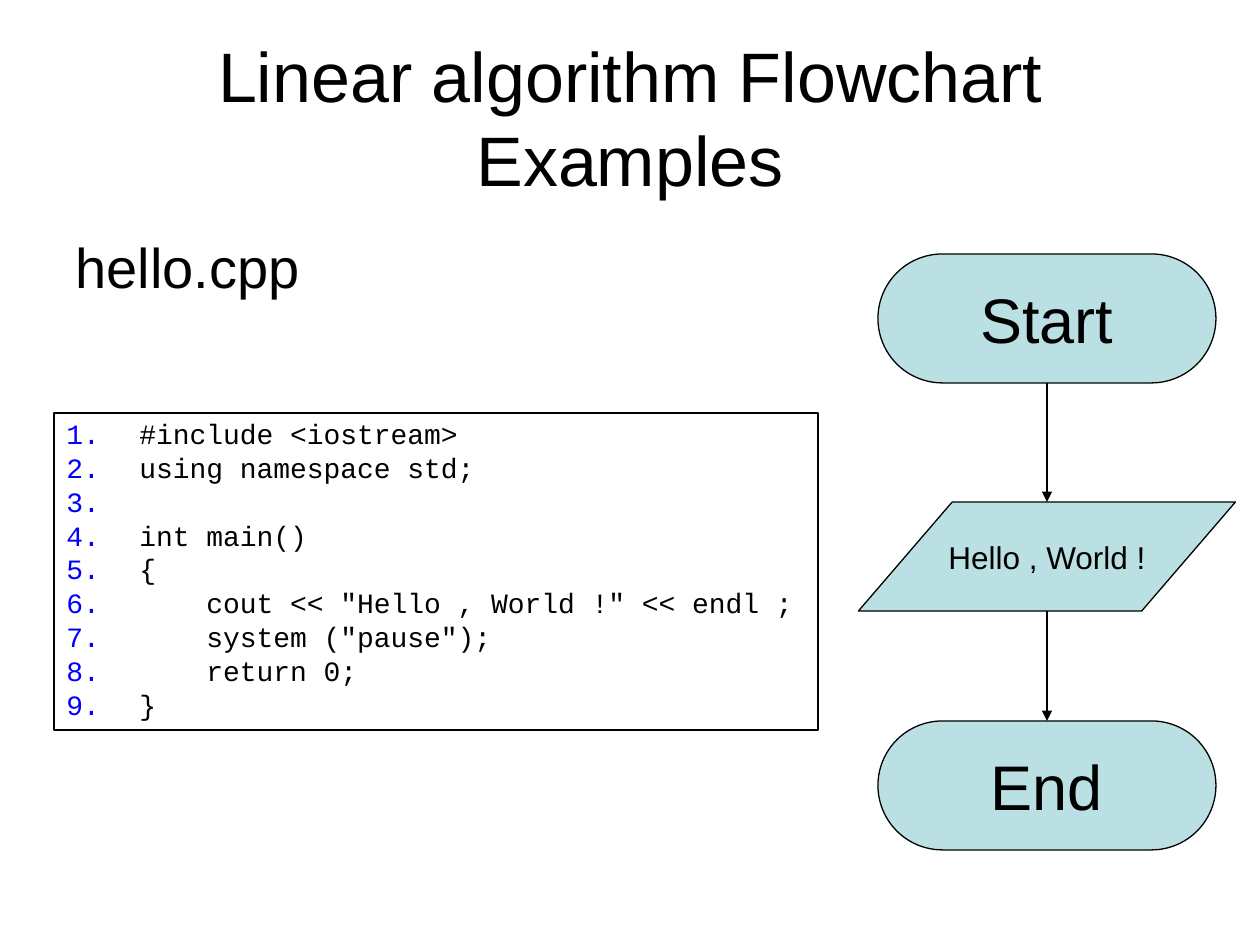
from dataclasses import dataclass

from lxml.etree import SubElement
from pptx import Presentation
from pptx.dml.color import RGBColor as RGB
from pptx.enum.shapes import MSO_CONNECTOR as Conn, MSO_SHAPE as Form
from pptx.enum.text import MSO_ANCHOR as Anchor, PP_ALIGN as Align
from pptx.oxml.ns import qn
from pptx.util import Pt

SCALE = 914400 / 126


def px(num):
    return round(num * SCALE)


@dataclass(frozen=True)
class Theme:
    ink: RGB = RGB(0, 0, 0)
    fill: RGB = RGB(0xBB, 0xE0, 0xE3)
    mark: str = "0000FF"
    sans: str = "Arial"
    mono: str = "Courier New"
    title: int = 40
    head: int = 32
    node: int = 36
    note: int = 18
    code: int = 16
    line: float = 0.75


class Deck:
    def __init__(self, theme):
        self.theme = theme
        self.prs = Presentation()
        self.prs.slide_width, self.prs.slide_height = px(1260), px(945)
        self.slide = self.prs.slides.add_slide(self.prs.slide_layouts[5])

    def run(self, para, text, size, face=None):
        run = para.add_run()
        run.text = text
        font = run.font
        font.size, font.name = Pt(size), face or self.theme.sans
        font.color.rgb = self.theme.ink

    def edge(self, item):
        item.line.color.rgb = self.theme.ink
        item.line.width = Pt(self.theme.line)

    def title(self, text, x, y, w, h):
        box = self.slide.shapes.title
        box.left, box.top, box.width, box.height = map(px, (x, y, w, h))
        frame = box.text_frame
        frame.word_wrap, frame.vertical_anchor = True, Anchor.MIDDLE
        para = frame.paragraphs[0]
        para.alignment = Align.CENTER
        self.run(para, text, self.theme.title)

    def label(self, text, x, y, w, h):
        box = self.slide.shapes.add_textbox(*map(px, (x, y, w, h)))
        box.text_frame.word_wrap = True
        self.run(box.text_frame.paragraphs[0], text, self.theme.head)

    def code(self, lines, x, y, w, h):
        box = self.slide.shapes.add_textbox(*map(px, (x, y, w, h)))
        self.edge(box)
        frame = box.text_frame
        frame.word_wrap, frame.margin_top = True, px(10)
        for i, line in enumerate(lines):
            para = frame.add_paragraph() if i else frame.paragraphs[0]
            para.line_spacing = 0.8
            if i:
                para.space_before = Pt(4)
            self.number(para)
            self.run(para, line, self.theme.code, self.theme.mono)

    def number(self, para):
        props = para._p.get_or_add_pPr()
        props.set("marL", str(px(73)))
        props.set("indent", str(px(-73)))
        color = SubElement(props, qn("a:buClr"))
        SubElement(color, qn("a:srgbClr"), val=self.theme.mark)
        SubElement(props, qn("a:buFont"), typeface=self.theme.mono)
        SubElement(props, qn("a:buAutoNum"), type="arabicPeriod")

    def node(self, form, bend, text, size, mid, y, w, h):
        left = mid - w / 2
        item = self.slide.shapes.add_shape(form, *map(px, (left, y, w, h)))
        item.adjustments[0] = bend
        item.shadow.inherit = False
        item.fill.solid()
        item.fill.fore_color.rgb = self.theme.fill
        self.edge(item)
        frame = item.text_frame
        frame.word_wrap, frame.vertical_anchor = False, Anchor.MIDDLE
        para = frame.paragraphs[0]
        para.alignment = Align.CENTER
        self.run(para, text, size)
        return item

    def arrow(self, x, top, end):
        line = self.slide.shapes.add_connector(
            Conn.STRAIGHT, *map(px, (x, top, x, end)))
        self.edge(line)
        SubElement(line.line._get_or_add_ln(), qn("a:tailEnd"), type="triangle")
        SubElement(line._element.spPr, qn("a:effectLst"))
        return line


def main():
    theme = Theme()
    deck = Deck(theme)

    # Headings
    deck.title("Linear algorithm Flowchart Examples", 63, 38, 1134, 158)
    deck.label("hello.cpp", 63, 226, 1134, 83)

    # Code listing
    deck.code([
        "#include <iostream>",
        "using namespace std;",
        " ",
        "int main()",
        "{",
        '    cout << "Hello , World !" << endl ;',
        '    system ("pause");',
        "    return 0;",
        "}",
    ], 54, 413, 764, 317)

    # Flowchart nodes
    mid = 1047
    start, end = [
        deck.node(Form.ROUNDED_RECTANGLE, 0.5, text, theme.node, mid, y, 338, 129)
        for text, y in (("Start", 254), ("End", 721))
    ]
    deck.node(Form.PARALLELOGRAM, 0.86, "Hello , World !", theme.note,
              mid, 502, 377, 109)

    # Flow arrows
    deck.arrow(mid, 383, 502).begin_connect(start, 2)
    deck.arrow(mid, 611, 721).end_connect(end, 0)

    deck.prs.save("out.pptx")


if __name__ == "__main__":
    main()
